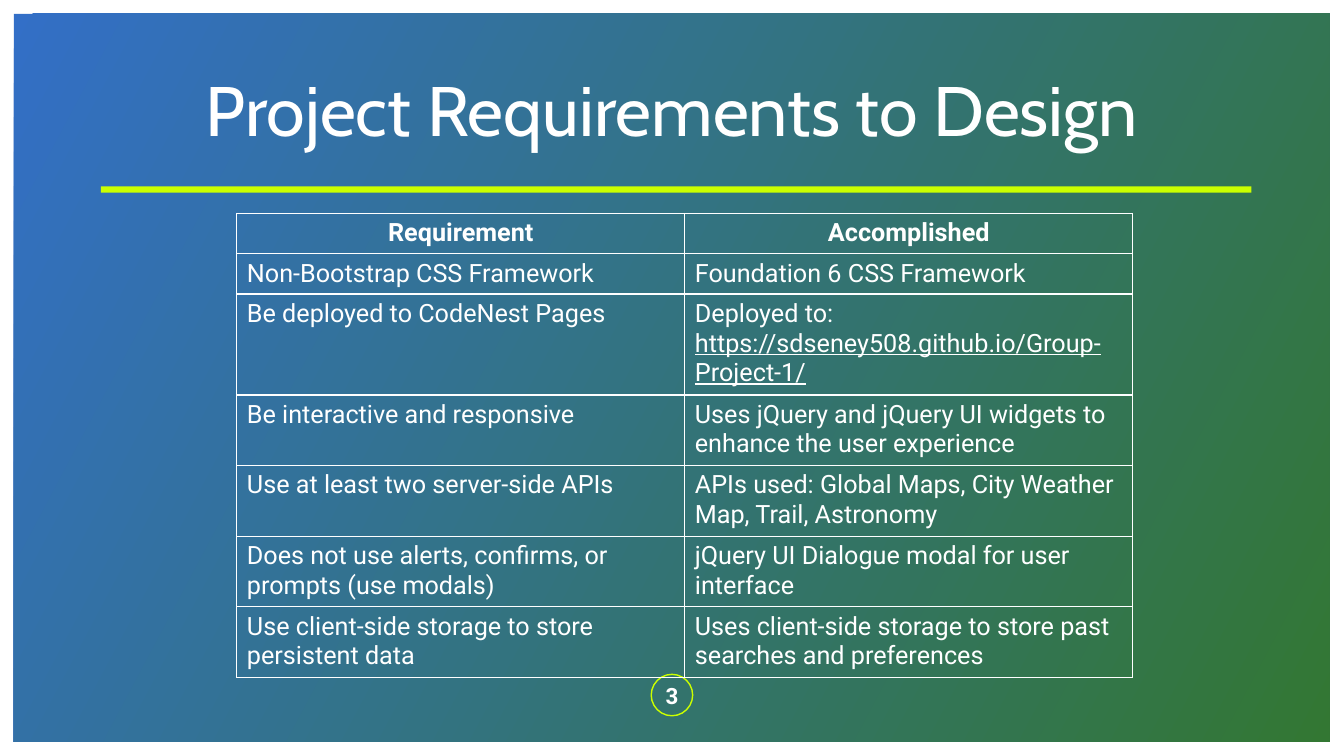
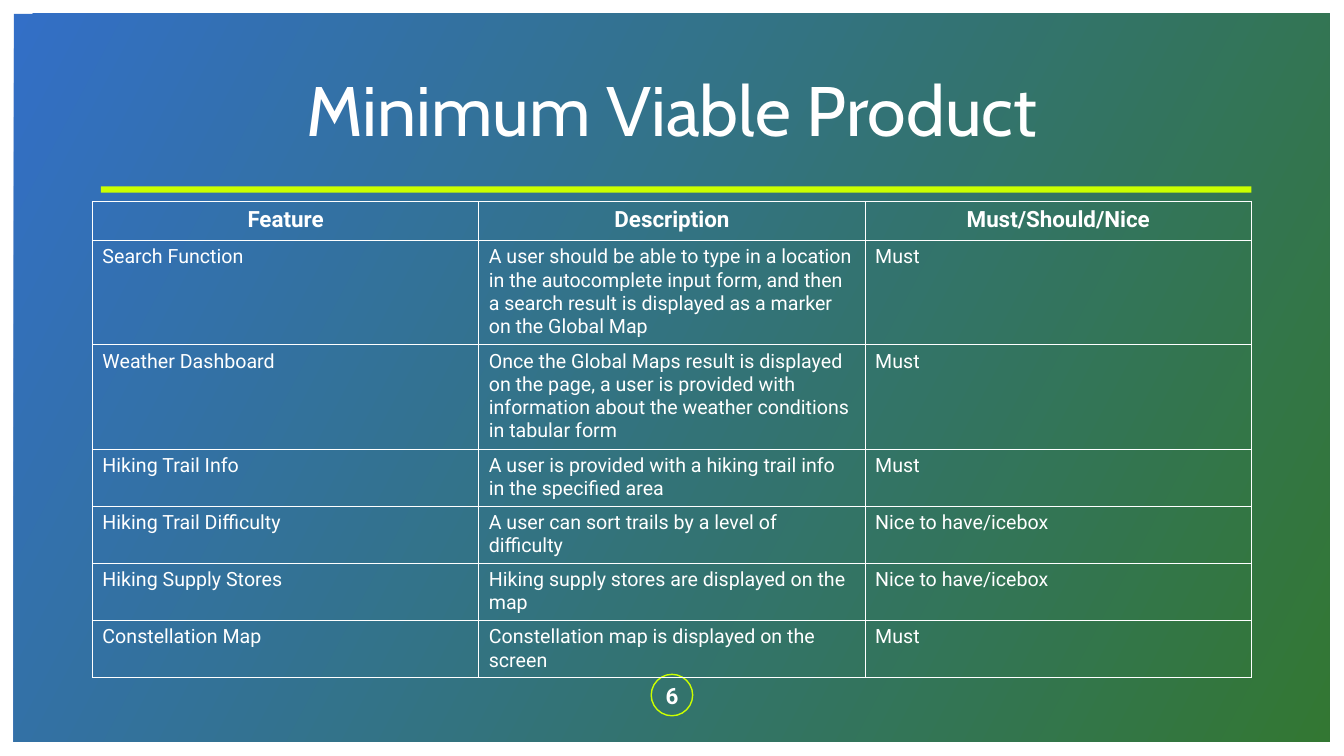
from dataclasses import dataclass
from lxml.etree import SubElement
from pptx import Presentation
from pptx.dml.color import RGBColor
from pptx.enum.shapes import MSO_SHAPE
from pptx.enum.text import MSO_ANCHOR, PP_ALIGN
from pptx.oxml.ns import qn
from pptx.util import Pt


@dataclass(frozen=True)
class Theme:
    white: str = "FFFFFF"
    lime: str = "CBFF00"
    blue: str = "004CB9"
    green: str = "005500"
    opacity: int = 80
    title_font: str = "Cabin"
    body_font: str = "Roboto"
    title_size: int = 50
    number_size: int = 16


THEME = Theme()

REQUIREMENTS = [
    ["Requirement", "Accomplished"],
    ["Non-Bootstrap CSS Framework", "Foundation 6 CSS Framework"],
    ["Be deployed to CodeNest Pages",
     ("Deployed to: ", "https://sdseney508.github.io/Group-Project-1/")],
    ["Be interactive and responsive",
     "Uses jQuery and jQuery UI widgets to enhance the user experience"],
    ["Use at least two server-side APIs",
     "APIs used: Global Maps, City Weather Map, Trail, Astronomy"],
    ["Does not use alerts, confirms, or prompts (use modals)",
     "jQuery UI Dialogue modal for user interface"],
    ["Use client-side storage to store persistent data",
     "Uses client-side storage to store past searches and preferences"],
]

FEATURES = [
    ["Feature", "Description", "Must/Should/Nice"],
    ["Search Function",
     "A user should be able to type in a location in the autocomplete input form, "
     "and then a search result is displayed as a marker on the Global Map", "Must"],
    ["Weather Dashboard",
     "Once the Global Maps result is displayed on the page, a user is provided with "
     "information about the weather conditions in tabular form", "Must"],
    ["Hiking Trail Info",
     "A user is provided with a hiking trail info in the specified area", "Must"],
    ["Hiking Trail Difficulty",
     "A user can sort trails by a level of difficulty", "Nice to have/icebox"],
    ["Hiking Supply Stores",
     "Hiking supply stores are displayed on the map", "Nice to have/icebox"],
    ["Constellation Map", "Constellation map is displayed on the screen", "Must"],
]


def rgb(color):
    return RGBColor.from_string(color)


def apply(target, formats):
    for name, value in formats.items():
        setattr(target, name, value)


def add_run(p, text, size, font=THEME.body_font, **formats):
    r = p.add_run()
    r.text = text
    apply(r.font, {"size": Pt(size), "name": font, **formats})
    r.font.color.rgb = rgb(THEME.white)


def add_shape(s, kind, x, y, w, h):
    sp = s.shapes.add_shape(kind, Pt(x), Pt(y), Pt(w), Pt(h))
    sp.shadow.inherit = False
    sp.line.fill.background()
    return sp


def add_label(s, text, x, y, w, h, size, line_spacing=1.0, **formats):
    tf = s.shapes.add_textbox(Pt(x), Pt(y), Pt(w), Pt(h)).text_frame
    apply(tf, {"word_wrap": True, "vertical_anchor": MSO_ANCHOR.MIDDLE})
    p = tf.paragraphs[0]
    apply(p, {"alignment": PP_ALIGN.CENTER, "line_spacing": line_spacing})
    add_run(p, text, size, **formats)


def add_backdrop(s):
    sp = add_shape(s, MSO_SHAPE.RECTANGLE, 10, 10, 939.8, 520)
    sp.fill.gradient()
    sp.fill.gradient_angle = 332
    for stop, color in zip(sp.fill.gradient_stops, (THEME.blue, THEME.green)):
        stop.color.rgb = rgb(color)
    for color in sp._element.spPr.iter(qn("a:srgbClr")):
        SubElement(color, qn("a:alpha"), val=str(THEME.opacity * 1000))


def add_frame(prs, title, number):
    s = prs.slides.add_slide(prs.slide_layouts[6])
    add_backdrop(s)
    ring = add_shape(s, MSO_SHAPE.OVAL, 465.2, 481.7, 29.6, 29.6)
    ring.fill.background()
    ring.line.color.rgb = rgb(THEME.lime)
    ring.line.width = Pt(1)
    rule = add_shape(s, MSO_SHAPE.RECTANGLE, 72, 133.2, 822, 4.4)
    rule.fill.solid()
    rule.fill.fore_color.rgb = rgb(THEME.lime)
    add_label(s, title, 66, 29, 828, 104, THEME.title_size,
              line_spacing=0.9, font=THEME.title_font)
    add_label(s, str(number), 458.6, 482, 43, 29, THEME.number_size, bold=True)
    return s


def add_borders(cell, width):
    tc_pr = cell._tc.get_or_add_tcPr()
    for side in ("lnL", "lnR", "lnT", "lnB"):
        ln = SubElement(tc_pr, qn(f"a:{side}"), w=str(Pt(width)))
        fill = SubElement(ln, qn("a:solidFill"))
        SubElement(fill, qn("a:srgbClr"), val=THEME.white)


def fill_cell(cell, content, size, header, border):
    add_borders(cell, border)
    cell.fill.background()
    p = cell.text_frame.paragraphs[0]
    p.alignment = PP_ALIGN.CENTER if header else PP_ALIGN.LEFT
    plain, link = content if isinstance(content, tuple) else (content, "")
    add_run(p, plain, size, bold=header)
    if link:
        add_run(p, link, size, bold=header, underline=True)


def add_grid(s, rows, x, y, w, heights, header_size, body_size, border):
    cols = len(rows[0])
    table = s.shapes.add_table(len(rows), cols, Pt(x), Pt(y), Pt(w),
                               Pt(sum(heights))).table
    apply(table, {"first_row": False, "horz_banding": False})
    for col in table.columns:
        col.width = Pt(w / cols)
    for i, (row, height) in enumerate(zip(rows, heights)):
        table.rows[i].height = Pt(height)
        size = body_size if i else header_size
        for j, content in enumerate(row):
            fill_cell(table.cell(i, j), content, size, i == 0, border)


def main():
    prs = Presentation()
    apply(prs, {"slide_width": Pt(960), "slide_height": Pt(540)})
    s = add_frame(prs, "Project Requirements to Design", 3)
    add_grid(s, REQUIREMENTS, 169.2, 152.4, 640, [28.4] * 2 + [70.4] + [49.4] * 4,
             header_size=18, body_size=18, border=1)
    s = add_frame(prs, "Minimum Viable Product", 6)
    add_grid(s, FEATURES, 66, 143.8, 828, [28] + [73.6] * 2 + [40.3] * 4,
             header_size=16, body_size=14, border=0.75)
    prs.save("out.pptx")


if __name__ == "__main__":
    main()
